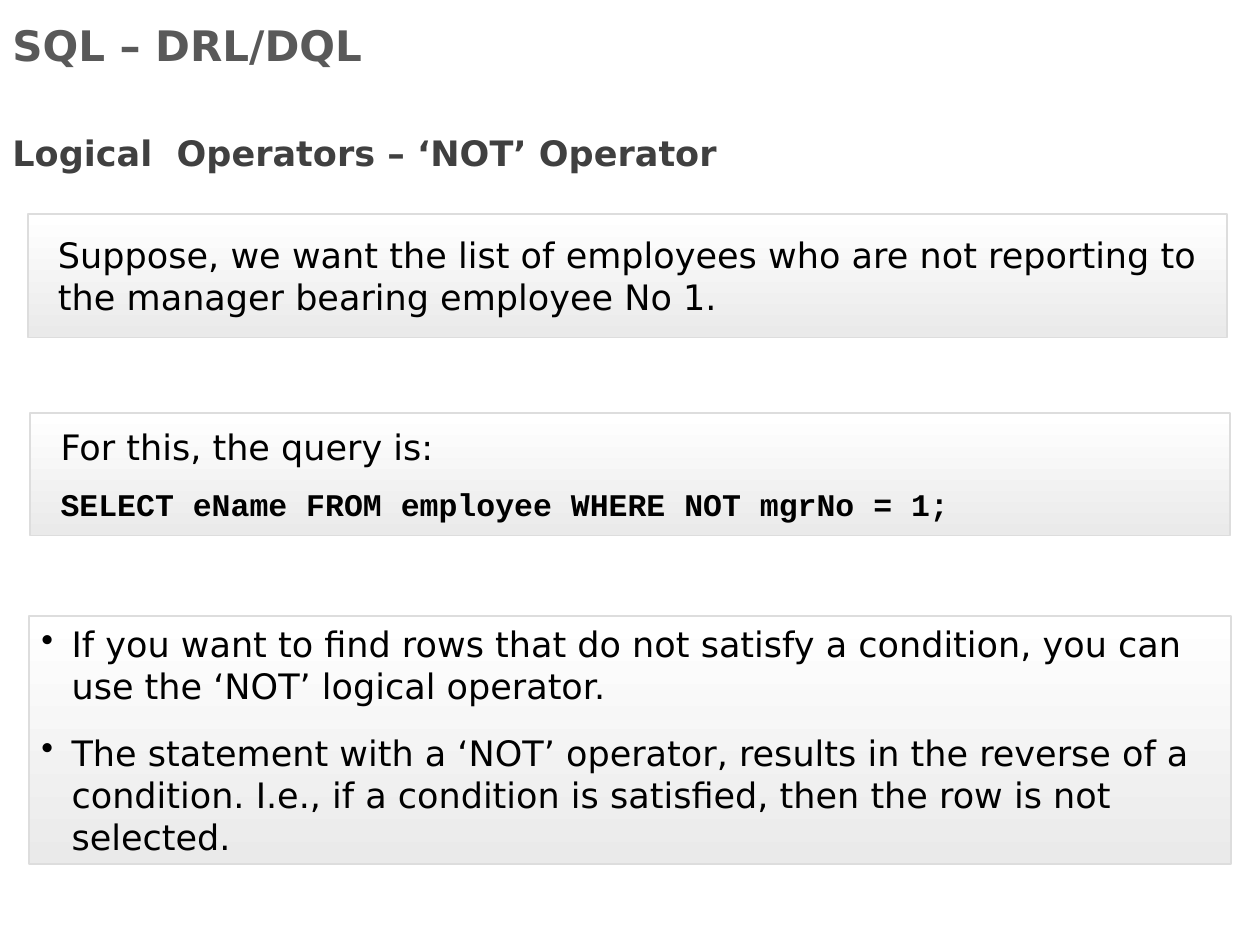
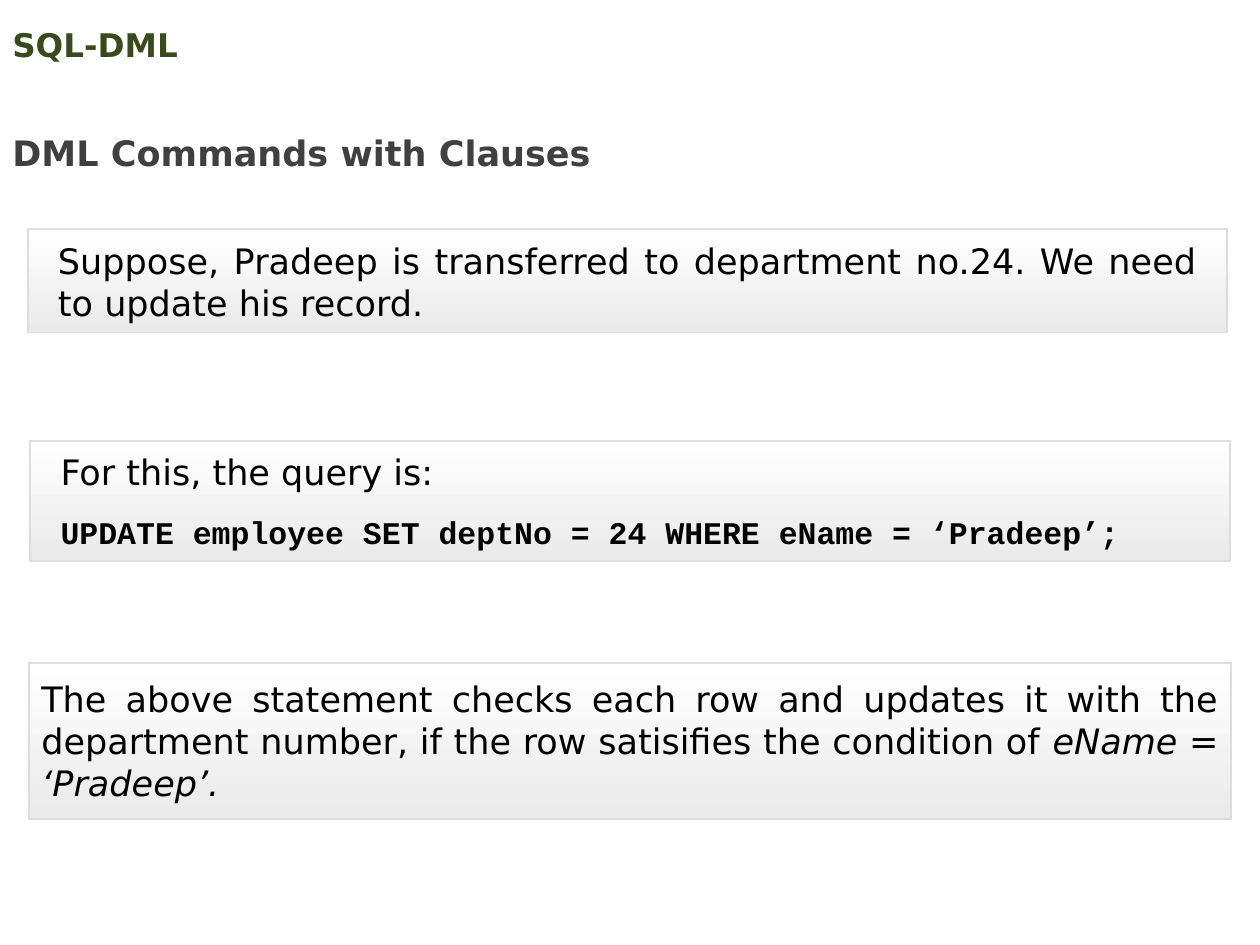
from dataclasses import dataclass
from lxml.etree import SubElement as Sub
from pptx import Presentation
from pptx.dml.color import RGBColor as RGB
from pptx.enum.shapes import MSO_SHAPE as Shape
from pptx.enum.text import MSO_ANCHOR as Anchor, MSO_AUTO_SIZE as Fit, PP_ALIGN as Align
from pptx.oxml.ns import qn
from pptx.util import Inches, Pt


@dataclass(frozen=True)
class Theme:
    sans: str = "DejaVu Sans"
    mono: str = "Courier New"
    ink: str = "000000"
    gray: str = "595959"
    green: str = "3B4A1E"
    sub: str = "404040"
    edge: str = "DDDDDD"
    fade: tuple = ("FFFFFF", "EAEAEA")
    body: float = 20
    code: float = 18
    indent: float = 0.24


T = Theme()

# Paragraph styles: justified, line spacing, space around, bullet, code
STYLES = {
    "text": dict(just=True, before=6, after=6),
    "code": dict(just=True, before=6, after=6, mono=True),
    "tight": dict(line=0.9, before=6, after=6, mono=True),
    "bullet": dict(after=14.1, bullet="•"),
    "note": dict(just=True, after=14.1),
}

# The three panels of each slide: left, width, side inset
PANELS = [(0.22, 9.52, 0.24), (0.24, 9.52, 0.24), (0.23, 9.54, 0.1)]

# Each panel: top, height, top inset (None = middle), paragraphs (style, text, italic end)
SLIDES = [
    dict(
        title=("SQL – DRL/DQL", 24, T.gray),
        topic="Logical  Operators – ‘NOT’ Operator",
        panels=[
            (1.7, 0.98, None, [
                ("text", "Suppose, we want the list of employees who are not reporting to "
                         "the manager bearing employee No 1.", "")]),
            (3.28, 0.97, 0.1, [
                ("text", "For this, the query is:", ""),
                ("tight", "SELECT eName FROM employee WHERE NOT mgrNo = 1;", "")]),
            (4.89, 1.97, None, [
                ("bullet", "If you want to find rows that do not satisfy a condition, you can "
                           "use the ‘NOT’ logical operator.", ""),
                ("bullet", "The statement with a ‘NOT’ operator, results in the reverse of a "
                           "condition. I.e., if a condition is satisfied, then the row is not "
                           "selected.", "")]),
        ],
    ),
    dict(
        title=("SQL-DML", 18.6, T.green),
        topic="DML Commands with Clauses",
        panels=[
            (1.82, 0.82, None, [
                ("text", "Suppose, Pradeep is transferred to department no.24. We need "
                         "to update his record.", "")]),
            (3.5, 0.95, None, [
                ("text", "For this, the query is:", ""),
                ("code", "UPDATE employee SET deptNo = 24 WHERE eName = ‘Pradeep’;", "")]),
            (5.26, 1.24, None, [
                ("note", "The above statement checks each row and updates it with the "
                         "department number, if the row satisifies the condition of ",
                 "eName = ‘Pradeep’.")]),
        ],
    ),
]


def ink(run, size, color, bold=False, name=T.sans):
    font = run.font
    font.name, font.size, font.bold = name, Pt(size), bold
    font.color.rgb = RGB.from_string(color)


def label(slide, text, box, size, color):
    """A bold heading in a text box."""
    frame = slide.shapes.add_textbox(*map(Inches, box)).text_frame
    frame.word_wrap = True
    frame.text = text
    ink(frame.paragraphs[0].runs[0], size, color, bold=True)
    return frame


def dot(para, char):
    """Give a paragraph a hanging bullet."""
    props = para._p.get_or_add_pPr()
    props.set("marL", str(Inches(T.indent)))
    props.set("indent", str(-Inches(T.indent)))
    Sub(Sub(props, qn("a:buClr")), qn("a:srgbClr")).set("val", T.ink)
    Sub(props, qn("a:buChar")).set("char", char)


def write(para, text, tail, first, just=False, line=None, before=0, after=0,
          bullet=None, mono=False):
    para.text = text
    if tail:
        para.add_run().text = tail
    if bullet:
        dot(para, bullet)
    para.alignment = Align.JUSTIFY if just else Align.LEFT
    para.line_spacing = line
    para.space_before = Pt(0 if first else before)
    para.space_after = Pt(after)
    for run in para.runs:
        ink(run, T.code if mono else T.body, T.ink, mono, T.mono if mono else T.sans)
    if tail:
        para.runs[-1].font.italic = True


def panel(slide, place, top, height, inset, paras):
    """A shaded box with its paragraphs."""
    left, width, side = place
    box = slide.shapes.add_shape(Shape.RECTANGLE, *map(Inches, (left, top, width, height)))
    box.shadow.inherit = False
    box.fill.gradient()
    box.fill.gradient_angle = 270
    for stop, pos, color in zip(box.fill.gradient_stops, (0, 1), T.fade):
        stop.position = pos
        stop.color.rgb = RGB.from_string(color)
    box.line.color.rgb = RGB.from_string(T.edge)
    box.line.width = Pt(1)

    frame = box.text_frame
    frame.word_wrap = True
    frame.margin_left = frame.margin_right = Inches(side)
    frame.margin_top, frame.margin_bottom = Inches(inset or 0), 0
    frame.vertical_anchor = Anchor.MIDDLE if inset is None else Anchor.TOP
    for i, (style, text, tail) in enumerate(paras):
        para = frame.add_paragraph() if i else frame.paragraphs[0]
        write(para, text, tail, i == 0, **STYLES[style])


def main():
    deck = Presentation()
    deck.slide_width, deck.slide_height = Inches(10), Inches(7.5)
    for data in SLIDES:
        slide = deck.slides.add_slide(deck.slide_layouts[6])

        # Headings
        text, size, color = data["title"]
        head = label(slide, text, (0, 0.14, 9, 0.43), size, color)
        head.vertical_anchor = Anchor.MIDDLE
        topic = label(slide, data["topic"], (0, 0.83, 7.09, 0.6), T.body, T.sub)
        topic.auto_size = Fit.SHAPE_TO_FIT_TEXT
        topic.paragraphs[0].line_spacing = 1.5

        # Panels
        for place, part in zip(PANELS, data["panels"]):
            panel(slide, place, *part)
    deck.save("out.pptx")


if __name__ == "__main__":
    main()
